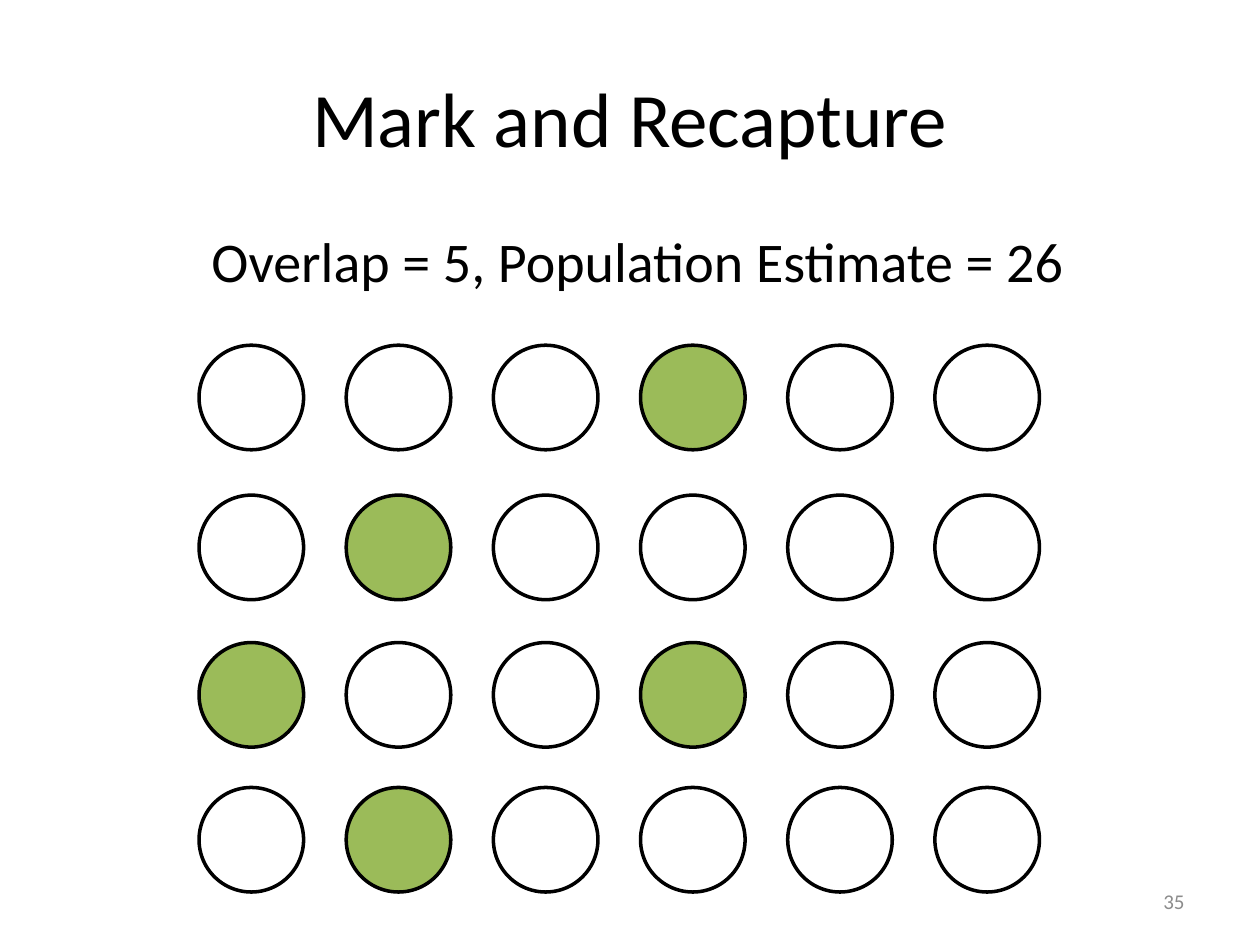
from pptx import Presentation
from pptx.dml.color import RGBColor
from pptx.enum import shapes, text
from pptx.util import Inches, Pt

BLACK = RGBColor(0x00, 0x00, 0x00)
GRAY = RGBColor(0x8C, 0x8C, 0x8C)
GREEN = RGBColor(0x9B, 0xBB, 0x59)

DIAMETER = 0.83
COLUMN_COUNT = 6
ROW_OFFSETS = (0, 1.19, 2.36, 3.51)
MARKED = {(0, 3), (1, 1), (2, 0), (2, 3), (3, 1)}  # (row, column)


def add_text(slide, box, wording, size, color=BLACK, align=text.PP_ALIGN.LEFT,
             anchor=text.MSO_ANCHOR.MIDDLE, wrap=True):
    frame = slide.shapes.add_textbox(*map(Inches, box)).text_frame
    frame.word_wrap = wrap
    frame.vertical_anchor = anchor
    paragraph = frame.paragraphs[0]
    paragraph.text = wording
    paragraph.alignment = align
    paragraph.font.name = "Calibri"
    paragraph.font.size = Pt(size)
    paragraph.font.color.rgb = color
    return frame


def add_individual(slide, left, top, marked):
    individual = slide.shapes.add_shape(
        shapes.MSO_SHAPE.OVAL, Inches(left), Inches(top),
        Inches(DIAMETER), Inches(DIAMETER))
    individual.shadow.inherit = False
    if marked:
        individual.fill.solid()
        individual.fill.fore_color.rgb = GREEN
    else:
        individual.fill.background()
    individual.line.color.rgb = BLACK
    individual.line.width = Pt(2)


def add_population(slide, box):
    """Grid of individuals, with the recaptured ones filled."""
    left, top, width, _ = box
    pitch = (width - DIAMETER) / (COLUMN_COUNT - 1)
    for column in range(COLUMN_COUNT):
        for row, offset in enumerate(ROW_OFFSETS):
            add_individual(slide, left + column * pitch, top + offset,
                           (row, column) in MARKED)


def add_estimate(slide, box):
    frame = add_text(slide, box, "Overlap = 5, Population Estimate = 26", 32,
                     anchor=text.MSO_ANCHOR.TOP, wrap=False)
    frame.auto_size = text.MSO_AUTO_SIZE.SHAPE_TO_FIT_TEXT


def main():
    deck = Presentation()
    deck.slide_width, deck.slide_height = Inches(10), Inches(7.5)
    slide = deck.slides.add_slide(deck.slide_layouts[6])
    add_text(slide, (0.5, 0.3, 9, 1.25), "Mark and Recapture", 44,
             align=text.PP_ALIGN.CENTER)
    add_population(slide, (1.58, 2.74, 6.67, 4.34))
    add_estimate(slide, (1.58, 1.75, 7.05, 0.64))
    add_text(slide, (7.17, 6.95, 2.33, 0.4), "35", 12, GRAY,
             align=text.PP_ALIGN.RIGHT)
    deck.save("out.pptx")


if __name__ == "__main__":
    main()
